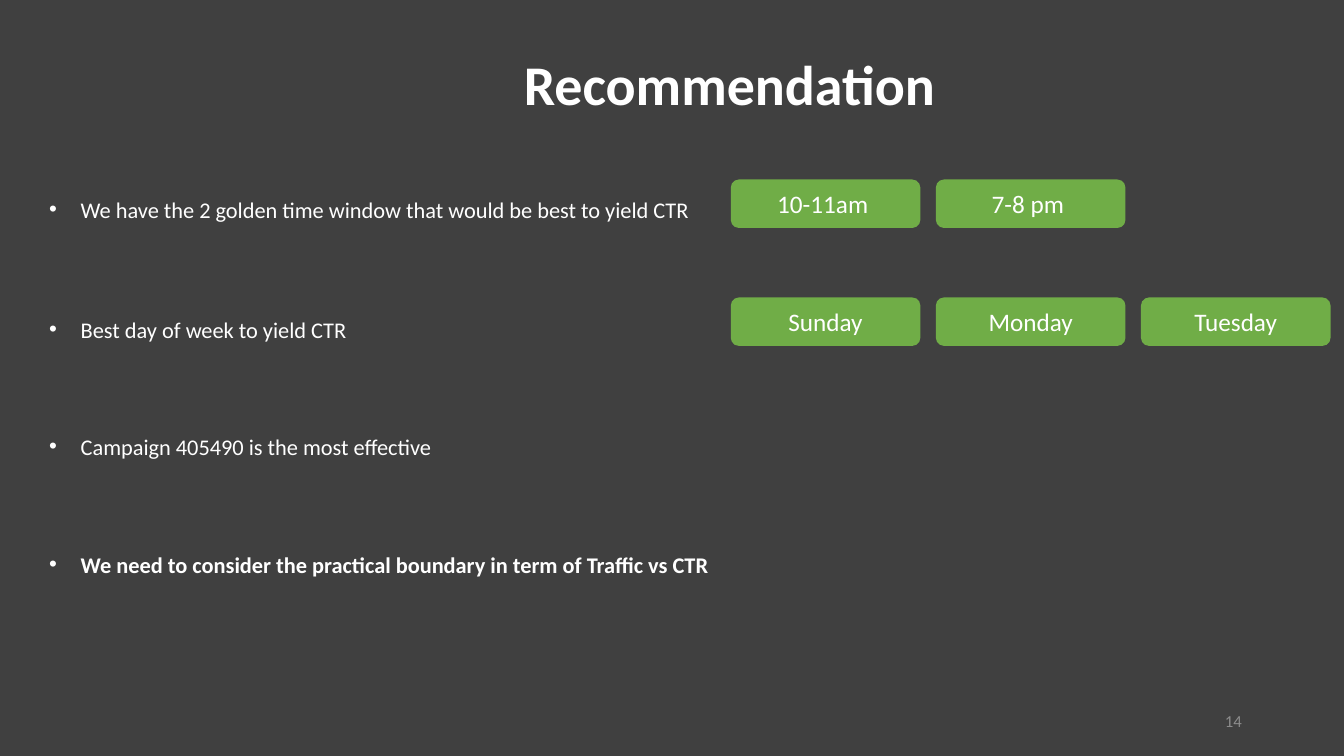
from dataclasses import dataclass

import pptx
import pptx.dml.color
import pptx.enum.shapes
import pptx.enum.text
import pptx.oxml.ns
import pptx.util
from lxml import etree

Pt = pptx.util.Pt
Align = pptx.enum.text.PP_ALIGN
Anchor = pptx.enum.text.MSO_ANCHOR


@dataclass(frozen=True)
class Theme:
    font: str = "Calibri"
    background: str = "404040"
    text: str = "FFFFFF"
    chip: str = "70AD47"
    muted: str = "8C8C8C"
    title_size: float = 40
    point_size: float = 16
    chip_size: float = 18
    number_size: float = 12


THEME = Theme()

# Top of the point, its wording, whether it is bold, and its chips
RECOMMENDATIONS = [
    (128.2, "We have the 2 golden time window that would be best to yield CTR",
     False, ["10-11am ", "7-8 pm "]),
    (213.8, "Best day of week to yield CTR",
     False, ["Sunday", "Monday", "Tuesday"]),
    (297.4, "Campaign 405490 is the most effective", False, []),
    (381.6, "We need to consider the practical boundary in term of Traffic vs CTR",
     True, []),
]
CHIP_LEFT, CHIP_TOP = 522, 128.2
CHIP_WIDTH, CHIP_HEIGHT = 135.4, 34.6
CHIP_STEP, ROW_STEP = 146.5, 84.25
BULLET_INDENT = 22.5


def rgb(value):
    return pptx.dml.color.RGBColor.from_string(value)


def write(paragraph, wording, size, color=THEME.text, bold=False, align=Align.LEFT):
    paragraph.alignment = align
    run = paragraph.add_run()
    run.text = wording
    run.font.name = THEME.font
    run.font.size = Pt(size)
    run.font.bold = bold
    run.font.color.rgb = rgb(color)


def add_text_area(slide, left, top, width, height, anchor=Anchor.MIDDLE):
    """Add a wrapping text box and return its first paragraph."""
    frame = slide.shapes.add_textbox(
        Pt(left), Pt(top), Pt(width), Pt(height)).text_frame
    frame.word_wrap = True
    frame.vertical_anchor = anchor
    return frame.paragraphs[0]


def add_bullet(paragraph):
    properties = paragraph._p.get_or_add_pPr()
    properties.set("marL", str(Pt(BULLET_INDENT)))
    properties.set("indent", str(-Pt(BULLET_INDENT)))
    font = etree.SubElement(properties, pptx.oxml.ns.qn("a:buFont"))
    font.set("typeface", "Arial")
    bullet = etree.SubElement(properties, pptx.oxml.ns.qn("a:buChar"))
    bullet.set("char", "•")


def add_point(slide, top, wording, bold):
    point = add_text_area(slide, 28.1, top, 720, 33.1)
    add_bullet(point)
    point.line_spacing = 1.5
    write(point, wording, THEME.point_size, bold=bold)


def add_chip(slide, row, column, label):
    chip = slide.shapes.add_shape(
        pptx.enum.shapes.MSO_SHAPE.ROUNDED_RECTANGLE,
        Pt(CHIP_LEFT + column * CHIP_STEP), Pt(CHIP_TOP + row * ROW_STEP),
        Pt(CHIP_WIDTH), Pt(CHIP_HEIGHT))
    chip.shadow.inherit = False
    chip.fill.solid()
    chip.fill.fore_color.rgb = rgb(THEME.chip)
    chip.line.fill.background()
    chip.text_frame.vertical_anchor = Anchor.MIDDLE
    write(chip.text_frame.paragraphs[0], label, THEME.chip_size, align=Align.CENTER)


def main():
    deck = pptx.Presentation()
    deck.slide_width, deck.slide_height = Pt(960), Pt(540)
    slide = deck.slides.add_slide(deck.slide_layouts[6])
    slide.background.fill.solid()
    slide.background.fill.fore_color.rgb = rgb(THEME.background)

    title = add_text_area(slide, 261.4, 31.7, 519.1, 55.4, Anchor.TOP)
    write(title, "Recommendation", THEME.title_size, bold=True, align=Align.CENTER)

    for row, (top, wording, bold, chips) in enumerate(RECOMMENDATIONS):
        add_point(slide, top, wording, bold)
        for column, label in enumerate(chips):
            add_chip(slide, row, column, label)

    number = add_text_area(slide, 678.2, 500.4, 216, 28.8)
    write(number, "14", THEME.number_size, THEME.muted, align=Align.RIGHT)
    deck.save("out.pptx")


if __name__ == "__main__":
    main()
